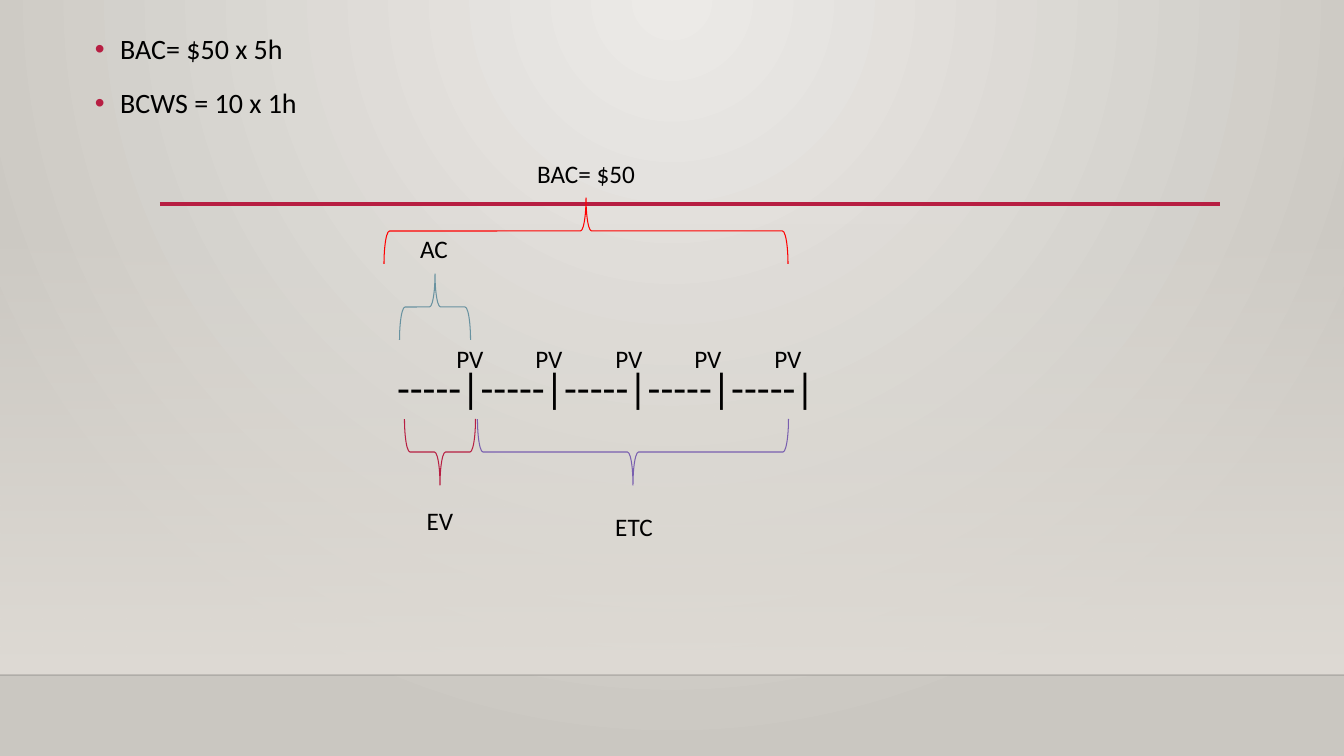
"""Build the earned value timeline slide."""
from lxml.etree import SubElement
from pptx import Presentation
from pptx.dml.color import RGBColor
from pptx.enum.shapes import MSO_CONNECTOR, MSO_SHAPE
from pptx.enum.text import MSO_AUTO_SIZE, PP_ALIGN
from pptx.oxml import parse_xml
from pptx.oxml.ns import nsdecls, qn
from pptx.util import Pt

BULLETS = ["BAC= $50 x 5h", "BCWS = 10 x 1h"]
PERIODS = 5
TIMELINE = "-----|" * PERIODS
COLORS = {
    "text": "000000", "accent": "B71E42", "floor": "000001",
    "glow": "ECEAE7", "edge": "CAC7C1", "wall": "DFDBD5",
    "ev": "B71E42", "etc": "795FAF", "ac": "6892A0", "bac": "FF0000",
}
# colour, centre x, centre y, span, rotation
BRACES = [
    ("ev", 440, 452, 71, 270),
    ("etc", 633, 452, 311, 270),
    ("ac", 435, 307, 71, 90),
    ("bac", 586, 231, 404, 90),
]
BRACE_DEPTH = 66
# text, centre x, top, width
LABELS = [("EV", 440, 500, 87), ("ETC", 634, 506, 87),
          ("AC", 434, 228, 87), ("BAC= $50", 586, 153, 134)]
LABELS += [("PV", 470 + i * 159 // 2, 338, 87) for i in range(PERIODS)]
# colour, left, right, y, weight, opacity in percent
RULES = [("floor", 0, 1344, 675, 1, 20), ("accent", 160, 1220, 204, 2.5, 100)]
RADIAL = '<a:path path="circle"><a:fillToRect l="43000" r="43000" b="100000"/></a:path>'
DOWN = '<a:lin ang="5400000" scaled="0"/>'


def px(n):
    return round(n * 914400 / 100.8)


def rgb(name):
    return RGBColor.from_string(COLORS[name])


def set_gradient(fill_parent, stops, direction):
    """Replace the gradient inside an element that already has one."""
    gs = "".join(
        f'<a:gs pos="{pos * 1000}"><a:srgbClr val="{COLORS[name]}">'
        f'<a:alpha val="{alpha * 1000}"/></a:srgbClr></a:gs>'
        for pos, name, alpha in stops)
    new = parse_xml(f'<a:gradFill {nsdecls("a")} rotWithShape="1">'
                    f'<a:gsLst>{gs}</a:gsLst>{direction}</a:gradFill>')
    old = fill_parent.find(qn("a:gradFill"))
    fill_parent.replace(old, new)


def add_rule(s, color, left, right, y, weight, opacity):
    c = s.shapes.add_connector(MSO_CONNECTOR.STRAIGHT, px(left), px(y), px(right), px(y))
    c.line.color.rgb = rgb(color)
    c.line.width = Pt(weight)
    if opacity < 100:
        clr = c.line.fill._xPr.find(".//" + qn("a:srgbClr"))
        SubElement(clr, qn("a:alpha")).set("val", str(opacity * 1000))
    SubElement(c._element.spPr, qn("a:effectLst"))


def add_text(s, lines, left, top, width, height, size):
    tf = s.shapes.add_textbox(px(left), px(top), px(width), px(height)).text_frame
    tf.word_wrap = True
    tf.text = "\n".join(lines)
    for p in tf.paragraphs:
        for r in p.runs:
            r.font.name = "Calibri"
            r.font.size = Pt(size)
            r.font.color.rgb = rgb("text")
    return tf


def add_bullets(s):
    tf = add_text(s, BULLETS, 85, 20, 1159, 110, 20)
    for p in tf.paragraphs:
        p.line_spacing = 1.2
        p.space_before = Pt(10)
        pPr = p._p.get_or_add_pPr()
        pPr.set("marL", "228600")
        pPr.set("indent", "-228600")
        clr = SubElement(pPr, qn("a:buClr"))
        SubElement(clr, qn("a:srgbClr")).set("val", COLORS["accent"])
        SubElement(pPr, qn("a:buFont")).set("typeface", "Arial")
        SubElement(pPr, qn("a:buChar")).set("char", "•")


def add_brace(s, color, cx, cy, span, rotation):
    sp = s.shapes.add_shape(MSO_SHAPE.LEFT_BRACE, px(cx - BRACE_DEPTH / 2),
                            px(cy - span / 2), px(BRACE_DEPTH), px(span))
    sp.rotation = rotation
    sp.shadow.inherit = False
    sp.fill.background()
    sp.line.color.rgb = rgb(color)
    sp.line.width = Pt(0.75)


def main():
    prs = Presentation()
    prs.slide_width, prs.slide_height = px(1344), px(756)
    s = prs.slides.add_slide(prs.slide_layouts[6])

    s.background.fill.gradient()
    set_gradient(s.background._cSld.bg.bgPr,
                 [(0, "glow", 100), (100, "edge", 100)], RADIAL)
    wall = s.shapes.add_shape(MSO_SHAPE.RECTANGLE, 0, px(223), px(1344), px(452))
    wall.shadow.inherit = False
    wall.line.fill.background()
    wall.fill.gradient()
    set_gradient(wall._element.spPr, [(0, "wall", 0), (100, "wall", 100)], DOWN)

    for rule in RULES:
        add_rule(s, *rule)
    add_bullets(s)
    tf = add_text(s, [TIMELINE], 397, 362, 440, 52, 30)
    tf.margin_left = tf.margin_right = tf.margin_top = tf.margin_bottom = 0
    for brace in BRACES:
        add_brace(s, *brace)
    for text, cx, top, width in LABELS:
        tf = add_text(s, [text], cx - width / 2, top, width, 40, 18)
        tf.auto_size = MSO_AUTO_SIZE.SHAPE_TO_FIT_TEXT
        tf.paragraphs[0].alignment = PP_ALIGN.CENTER
    prs.save("out.pptx")


if __name__ == "__main__":
    main()
